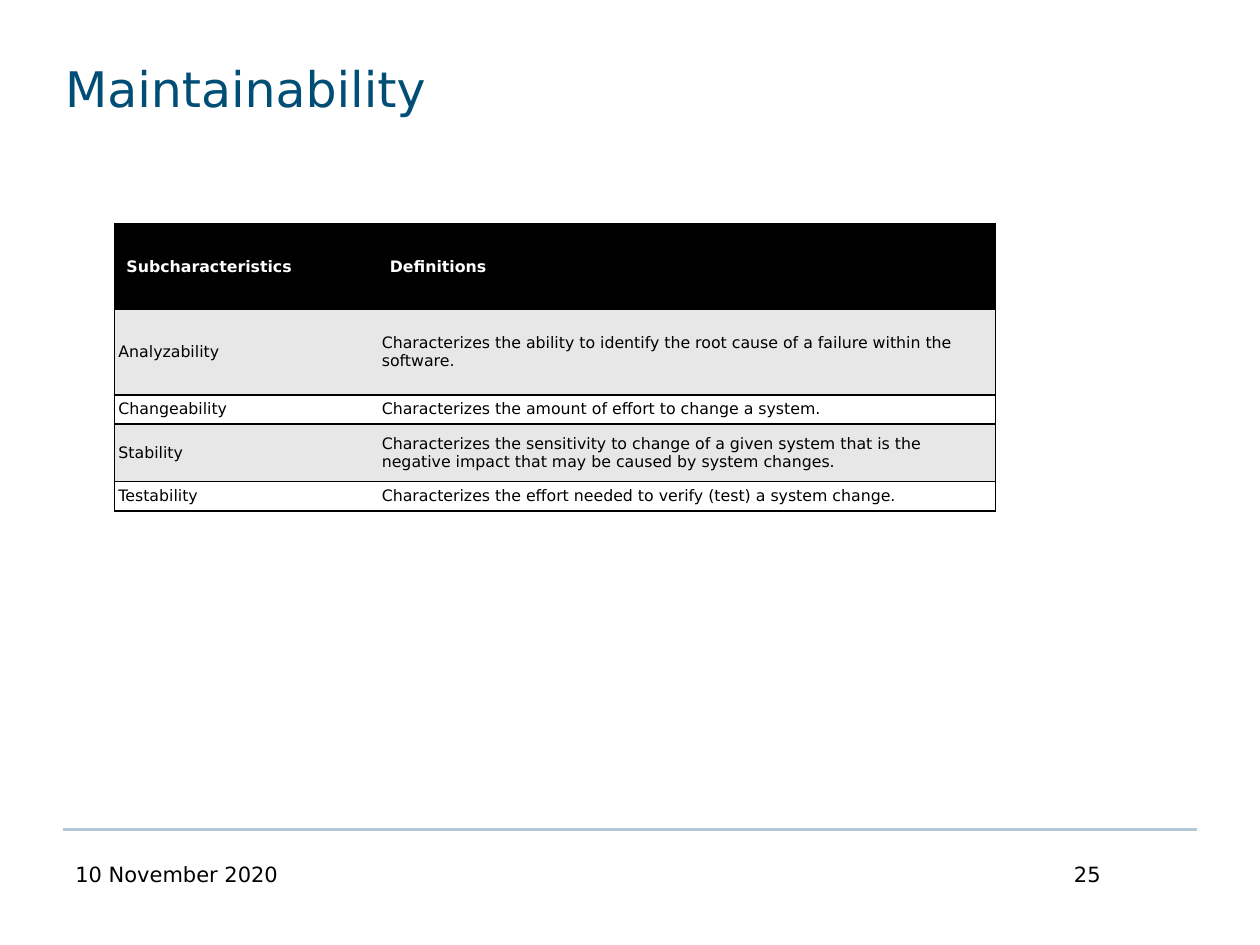
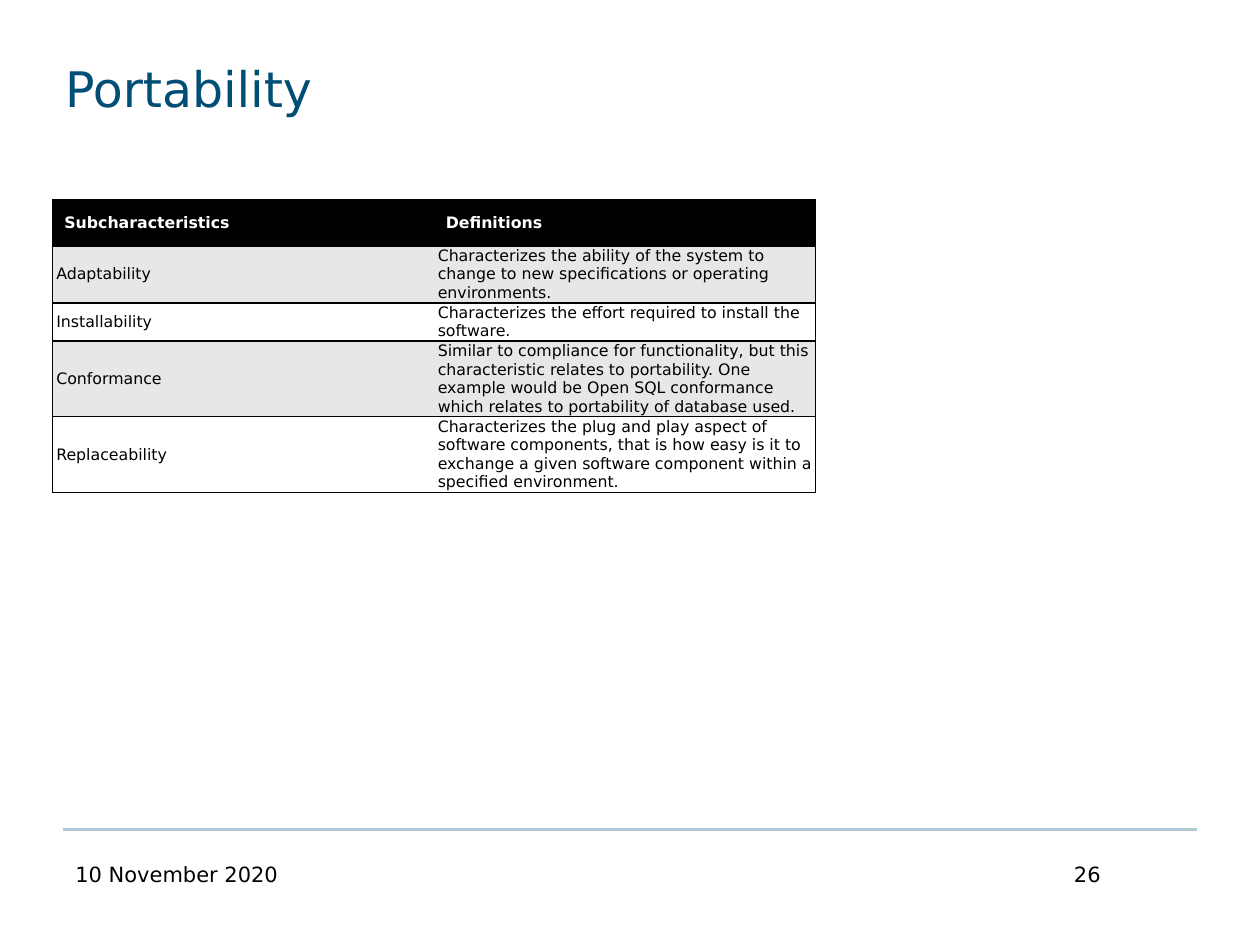
from lxml import etree
from pptx import Presentation
from pptx.dml.color import RGBColor
from pptx.enum.shapes import MSO_CONNECTOR
from pptx.enum.text import MSO_ANCHOR, MSO_AUTO_SIZE, PP_ALIGN
from pptx.oxml.ns import qn
from pptx.util import Pt

STRAIGHT = MSO_CONNECTOR.STRAIGHT
TOP, MIDDLE = MSO_ANCHOR.TOP, MSO_ANCHOR.MIDDLE
LEFT, RIGHT = PP_ALIGN.LEFT, PP_ALIGN.RIGHT
NO_FIT = MSO_AUTO_SIZE.NONE

FONT = "DejaVu Sans"
TITLE_BLUE = RGBColor(0x00, 0x4D, 0x75)
RULE_BLUE = RGBColor(0xB2, 0xC9, 0xD5)
BLACK = RGBColor(0x00, 0x00, 0x00)
WHITE = RGBColor(0xFF, 0xFF, 0xFF)
BAND_GREY = RGBColor(0xE7, 0xE7, 0xE7)

TITLE_ONLY = 5
DATE = "10 November 2020"
HEADINGS = ("Subcharacteristics", "Definitions")
HEADER_INSETS = (6.8, 5, 5, 5)

MAINTAINABILITY = [
    ("Analyzability", "Characterizes the ability to identify the root cause of a failure within the software."),
    ("Changeability", "Characterizes the amount of effort to change a system."),
    ("Stability", "Characterizes the sensitivity to change of a given system that is the "
                  "negative impact that may be caused by system changes."),
    ("Testability", "Characterizes the effort needed to verify (test) a system change."),
]
PORTABILITY = [
    ("Adaptability", "Characterizes the ability of the system to change to new specifications "
                     "or operating environments."),
    ("Installability", "Characterizes the effort required to install the software."),
    ("Conformance", "Similar to compliance for functionality, but this characteristic relates to portability. "
                    "One example would be Open SQL conformance which relates to portability of database used."),
    ("Replaceability", "Characterizes the plug and play aspect of software components, that is how easy is it "
                       "to exchange a given software component within a specified environment."),
]


class QualityDeck:
    """Builds quality-characteristic slides in one shared style."""

    def __init__(self):
        self.deck = Presentation()
        self.deck.slide_width, self.deck.slide_height = Pt(720), Pt(540)
        self.slide = None

    def start_slide(self, heading, number):
        self.slide = self.deck.slides.add_slide(self.deck.slide_layouts[TITLE_ONLY])
        self.rule()
        self.title(heading)
        self.footer(DATE, 36, LEFT)
        self.footer(str(number), 468, RIGHT)

    def add_text(self, frame, wording, size, color, bold=False, align=LEFT):
        paragraph = frame.paragraphs[0]
        paragraph.alignment = align
        run = paragraph.add_run()
        run.text = wording
        run.font.name = FONT
        run.font.size = Pt(size)
        run.font.bold = bold
        run.font.color.rgb = color

    def title(self, heading):
        title = self.slide.shapes.title
        title.left, title.top, title.width, title.height = Pt(30), Pt(30), Pt(654), Pt(84)
        frame = title.text_frame
        frame.auto_size = NO_FIT
        frame.vertical_anchor = TOP
        self.add_text(frame, heading, 28, TITLE_BLUE)

    def rule(self):
        rule = self.slide.shapes.add_connector(STRAIGHT, Pt(684), Pt(474), Pt(36), Pt(474))
        rule.line.color.rgb = RULE_BLUE
        rule.line.width = Pt(1.25)
        etree.SubElement(rule._element.spPr, qn("a:effectLst"))

    def footer(self, wording, left, align):
        footer = self.slide.shapes.add_textbox(Pt(left), Pt(489), Pt(168), Pt(37.5))
        footer.text_frame.word_wrap = True
        self.add_text(footer.text_frame, wording, 12, BLACK, align=align)

    def table(self, left, top, widths, heights, entries, insets):
        rows = [HEADINGS, *entries]
        table = self.slide.shapes.add_table(
            len(rows), len(widths), Pt(left), Pt(top), Pt(sum(widths)), Pt(sum(heights))).table
        table.first_row = table.horz_banding = False
        for column, width in zip(table.columns, widths):
            column.width = Pt(width)
        for r, (entry, height) in enumerate(zip(rows, heights)):
            table.rows[r].height = Pt(height)
            for c, wording in enumerate(entry):
                self.cell(table.cell(r, c), wording, r, c, insets)

    def cell(self, cell, wording, row, column, insets):
        header = row == 0
        cell.vertical_anchor = MIDDLE
        cell.margin_left, cell.margin_top, cell.margin_right, cell.margin_bottom = (
            Pt(inset) for inset in (HEADER_INSETS if header else insets))
        cell.fill.solid()
        cell.fill.fore_color.rgb = BLACK if header else BAND_GREY if row % 2 else WHITE
        self.add_text(cell.text_frame, wording, 9, WHITE if header else BLACK, bold=header)
        self.borders(cell, {"L": column == 0, "R": column == 1, "T": True, "B": True})

    def borders(self, cell, sides):
        properties = cell._tc.get_or_add_tcPr()
        for position, (side, drawn) in enumerate(sides.items()):
            border = etree.Element(qn(f"a:ln{side}"), w=str(Pt(1)))
            if drawn:
                fill = etree.SubElement(border, qn("a:solidFill"))
                etree.SubElement(fill, qn("a:srgbClr"), val=str(BLACK))
            else:
                etree.SubElement(border, qn("a:noFill"))
            properties.insert(position, border)


def main():
    quality = QualityDeck()
    quality.start_slide("Maintainability", 25)
    quality.table(65.5, 128, (150.5, 353), (48.8, 48.8, 16.8, 32.8, 16.8),
                  MAINTAINABILITY, (2.2, 0.7, 2.2, 0.7))
    quality.start_slide("Portability", 26)
    quality.table(30, 114, (218, 218), (26.6, 26.6, 13.7, 39.6, 35.3),
                  PORTABILITY, (2.2, 0, 2.2, 0))
    quality.deck.save("out.pptx")


if __name__ == "__main__":
    main()
